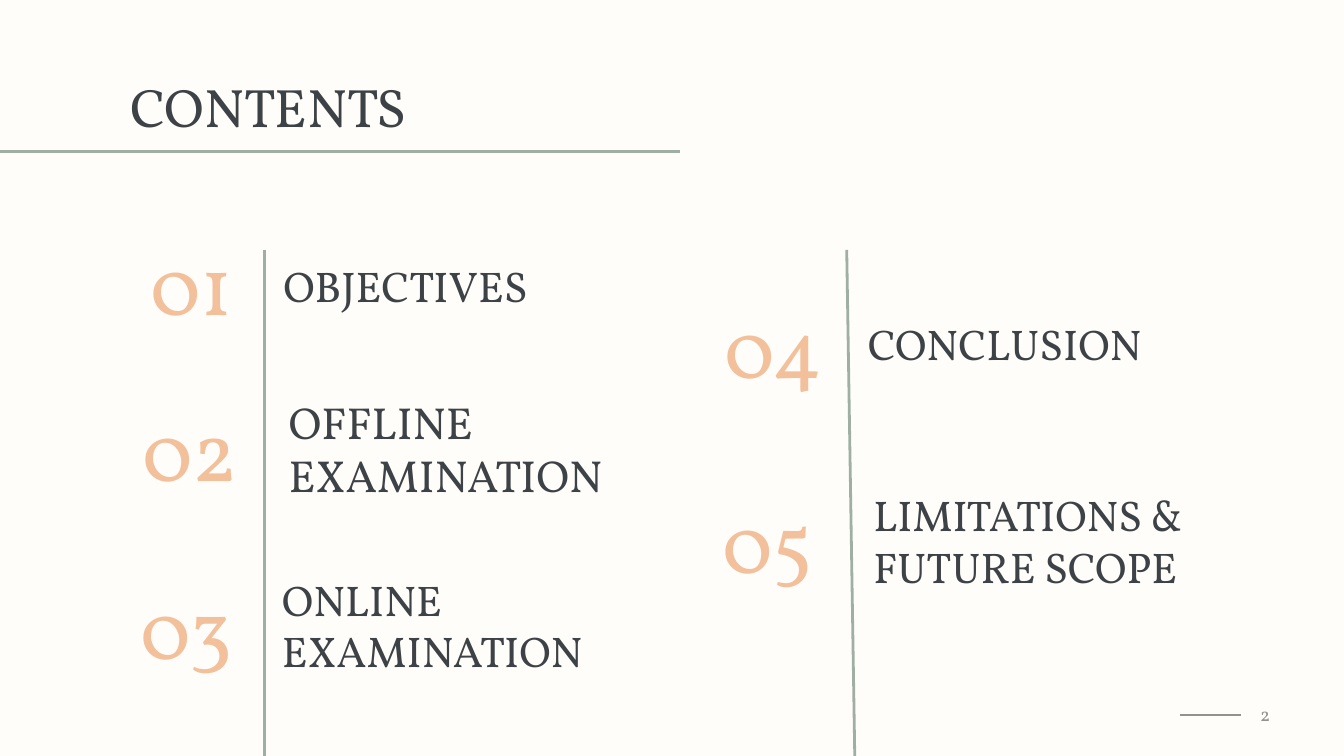
from pptx import Presentation
from pptx.dml.color import RGBColor
from pptx.enum.shapes import MSO_CONNECTOR as Conn
from pptx.enum.text import MSO_ANCHOR as Anchor, MSO_AUTO_SIZE as Fit, PP_ALIGN as Align
from pptx.util import Inches, Pt
from lxml.etree import SubElement
from pptx.oxml.ns import qn

INK, PEACH, SAGE, GREY = "3D4246", "F3C09C", "9FAFA4", "94918F"
WIDE = 10
HIGH = WIDE * 9 / 16

ITEMS = [
    ("01", (1.02, 1.77), "OBJECTIVES", (2.01, 1.92, 2.6, 0.4), 23),
    ("02", (0.96, 3.01), "OFFLINE\vEXAMINATION", (2.05, 2.97, 2.81, 0.73), 24),
    ("03", (0.95, 4.33), "ONLINE EXAMINATION", (2, 4.26, 2.6, 0.78), 23),
    ("04", (5.29, 2.24), "CONCLUSION", (6.36, 2.24, 2.6, 0.63), 23),
    ("05", (5.28, 3.69), "LIMITATIONS &\vFUTURE SCOPE", (6.4, 3.63, 2.6, 0.78), 23),
]

RULES = [
    ((0, 1.13), (5.06, 1.13), SAGE, 1.5),
    ((1.97, 1.86), (1.97, HIGH), SAGE, 1.5),
    ((6.3, 1.86), (6.36, HIGH), SAGE, 1.5),
    ((8.78, 5.32), (9.23, 5.32), GREY, 0.75),
]


def rgb(code):
    """Turn a hex string into a colour."""
    return RGBColor.from_string(code)


def write(shape, text, size, color, align=Align.LEFT, anchor=Anchor.MIDDLE):
    """Fill a shape with one styled paragraph."""
    frame = shape.text_frame
    frame.word_wrap, frame.auto_size = True, Fit.NONE
    frame.vertical_anchor = anchor
    frame.margin_left = frame.margin_right = Inches(0.1)
    frame.margin_top = frame.margin_bottom = Inches(0.1)
    para = frame.paragraphs[0]
    para.text, para.alignment = text, align
    for run in para.runs:
        font = run.font
        font.name, font.size = "Vollkorn", Pt(size)
        font.color.rgb = rgb(color)


def add_text(slide, spot, *style):
    """Add a text box at a spot given in inches."""
    write(slide.shapes.add_textbox(*map(Inches, spot)), *style)


def add_title(slide, text):
    """Place and style the slide title."""
    title = slide.shapes.title
    title.left, title.top = Inches(0.87), Inches(0.47)
    title.width, title.height = Inches(8.35), Inches(0.63)
    write(title, text, 29, INK)


def add_rule(slide, start, end, color, width):
    """Draw a straight line without shadow."""
    rule = slide.shapes.add_connector(Conn.STRAIGHT, *map(Inches, start + end))
    rule.line.color.rgb, rule.line.width = rgb(color), Pt(width)
    SubElement(rule._element.spPr, qn("a:effectLst"))


def main():
    """Build the contents slide."""
    deck = Presentation()
    deck.slide_width, deck.slide_height = Inches(WIDE), Inches(HIGH)
    slide = deck.slides.add_slide(deck.slide_layouts[5])
    fill = slide.background.fill
    fill.solid()
    fill.fore_color.rgb = rgb("FFFDF9")
    add_title(slide, "CONTENTS")
    for rule in RULES:
        add_rule(slide, *rule)
    for number, place, label, spot, size in ITEMS:
        add_text(slide, place + (1.01, 0.65), number, 45, PEACH)
        add_text(slide, spot, label, size, INK)
    add_text(slide, (8.95, 5.13, 0.6, 0.37), "2", 10, GREY, Align.RIGHT, Anchor.TOP)
    deck.save("out.pptx")


if __name__ == "__main__":
    main()
